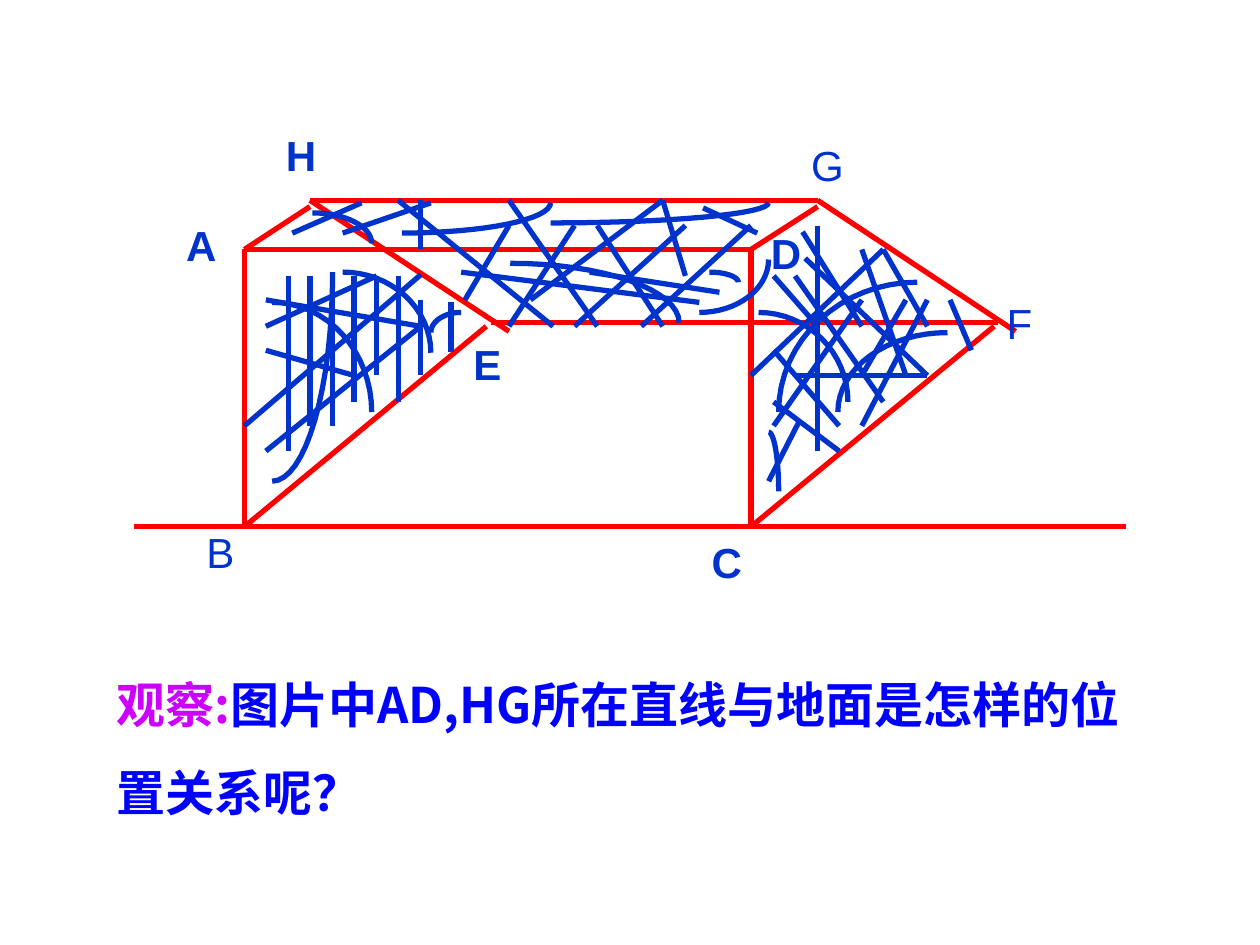
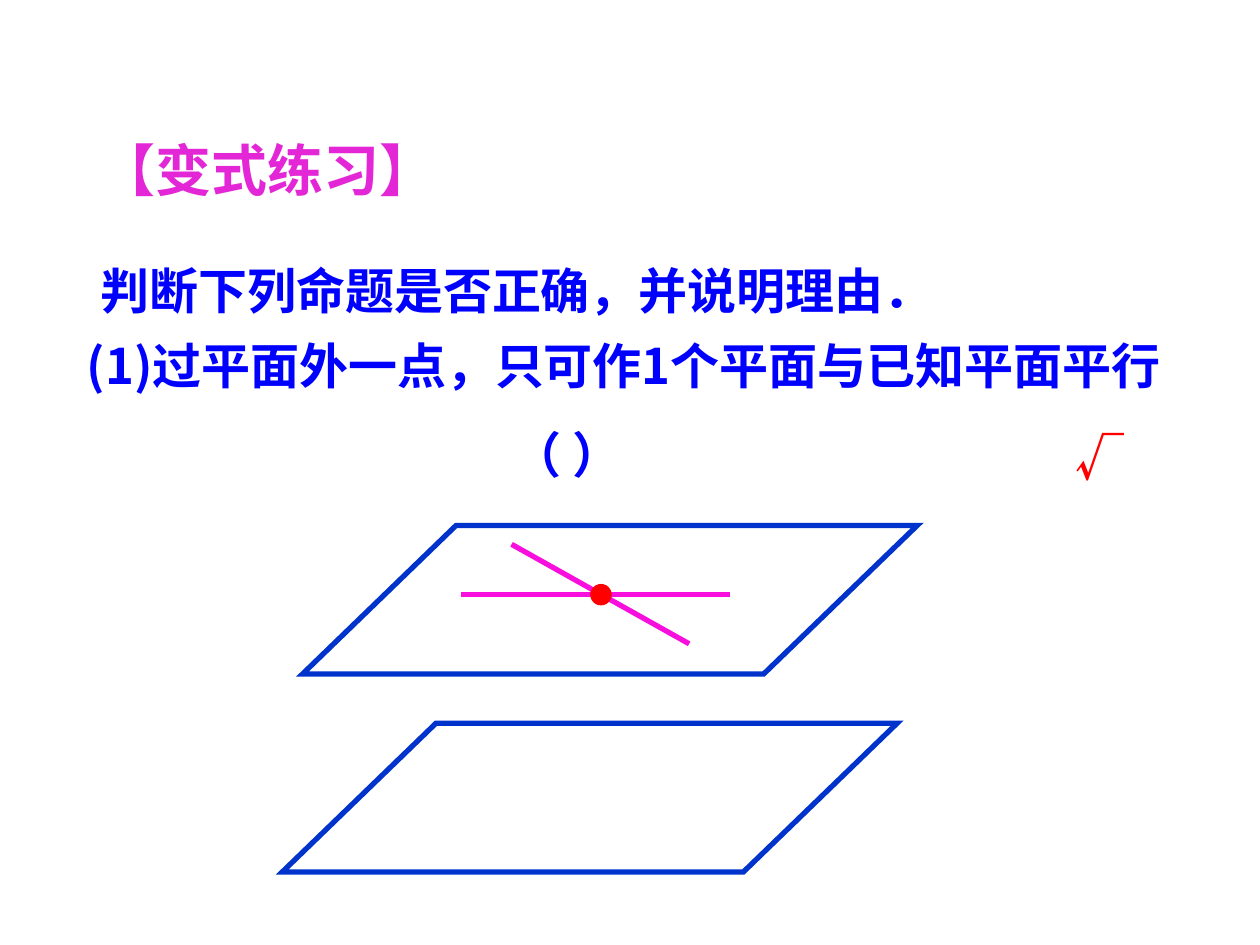
from math import cos, pi, sin

from lxml import etree
from pptx import Presentation
from pptx.dml.color import RGBColor
from pptx.enum.shapes import MSO_CONNECTOR, MSO_SHAPE
from pptx.oxml.ns import qn
from pptx.util import Inches, Pt

STRAIGHT = MSO_CONNECTOR.STRAIGHT
PARALLELOGRAM, OVAL = MSO_SHAPE.PARALLELOGRAM, MSO_SHAPE.OVAL

LATIN, CJK = "Arial", "Noto Sans CJK SC"
RED, INK, BLUE = "FF0000", "0033CC", "0000FF"
VIOLET, PINK, MAGENTA = "CC00FF", "F90FDD", "E327D6"
STROKE = 3
ARC_STEPS = 16

FRAME = [
    (1.94, 1.98, 5.96, 1.98), (5.96, 1.98, 5.96, 4.18), (1.94, 1.98, 1.94, 4.18),
    (5.96, 1.98, 6.49, 1.64), (1.94, 1.98, 2.46, 1.64), (2.46, 1.59, 4.04, 2.63),
    (6.49, 1.59, 8.06, 2.63), (2.46, 1.59, 6.49, 1.59), (5.96, 4.18, 7.89, 2.59),
    (1.94, 4.18, 3.86, 2.59), (3.9, 2.56, 7.92, 2.56), (1.06, 4.18, 8.94, 4.18),
]
VERTICES = [
    ("B", 1.54, 4.13, False), ("A", 1.38, 1.69, True), ("D", 6.02, 1.76, True),
    ("C", 5.55, 4.21, True), ("H", 2.17, 0.98, True), ("G", 6.34, 1.06, False),
    ("E", 3.66, 2.64, True), ("F", 7.89, 2.31, False),
]
LEFT_HATCHING = [
    (3.16, 2.19, 3.16, 3.19), (2.81, 2.19, 2.81, 3.19), (2.29, 2.19, 2.29, 3.58),
    (2.64, 2.19, 2.64, 3.38), (2.46, 2.19, 2.46, 3.38), (2.99, 2.19, 2.99, 2.98),
    (3.34, 2.38, 3.34, 2.98), (2.11, 2.59, 2.99, 2.19), (1.94, 3.38, 3.34, 2.18),
    (2.11, 3.58, 3.34, 2.59), (2.11, 2.38, 3.34, 2.59), (2.11, 2.78, 2.81, 2.98),
    (3.58, 2.79, 3.58, 2.4),
]
TOP_HATCHING = [
    (3.16, 1.59, 4.39, 2.59), (4.04, 1.59, 4.74, 2.59), (4.74, 1.79, 5.26, 2.59),
    (5.26, 1.59, 5.44, 2.19), (5.58, 1.65, 6.01, 1.85), (3.34, 1.59, 3.34, 1.98),
    (4.04, 1.79, 3.69, 2.38), (4.56, 1.79, 4.04, 2.59), (5.26, 1.59, 4.21, 2.38),
    (5.44, 1.79, 4.56, 2.59), (5.96, 1.79, 5.09, 2.59), (2.32, 1.85, 2.87, 1.61),
    (2.72, 1.85, 3.42, 1.61), (4.68, 2.16, 5.71, 2.32), (3.66, 2.16, 5.55, 2.4),
]
RIGHT_HATCHING = [
    (6.14, 2.19, 6.49, 2.59), (6.37, 1.84, 6.84, 2.59), (7.01, 1.98, 7.36, 2.59),
    (7.54, 2.38, 7.71, 2.78), (6.84, 1.98, 7.19, 2.98), (6.49, 1.79, 6.49, 3.58),
    (6.39, 2.05, 7.36, 2.98), (6.31, 2.19, 7.01, 3.19), (6.14, 2.78, 6.66, 3.38),
    (7.01, 1.98, 5.96, 2.98), (7.19, 2.38, 6.84, 2.98), (6.84, 2.38, 6.14, 3.38),
    (7.36, 2.38, 6.84, 3.38), (6.31, 2.98, 7.36, 2.98), (6.14, 3.19, 6.66, 3.58),
    (6.1, 3.82, 6.34, 3.35),
]
QUARTER_ARCS = [
    (3.66, 2.48, 3.42, 2.64), (6.02, 2.48, 6.73, 3.19), (2.48, 1.69, 2.95, 1.93),
    (5.63, 2.16, 5.86, 2.24), (5.55, 2.48, 6.1, 2.06), (3.19, 1.85, 4.37, 1.61),
    (6.1, 3.43, 6.18, 3.9), (2.16, 2.4, 2.95, 3.27), (2.16, 3.82, 2.64, 2.16),
    (4.37, 1.77, 6.1, 1.61), (2.72, 2.16, 3.42, 2.8), (7.28, 2.24, 6.18, 3.27),
    (7.52, 2.64, 6.65, 3.27), (4.05, 2.09, 5.39, 2.56),
]
QUESTION = [("观察:", VIOLET), ("图片中AD,HG所在直线与地面是怎样的位置关系呢？", BLUE)]

CROSSING_LINES = [(3.66, 4.72, 5.79, 4.72), (4.06, 4.32, 5.47, 5.11)]
PLANES = [(2.24, 5.74), (2.4, 4.17)]
PLANE_SIZE = (4.88, 1.18)
DOT = (4.69, 4.64, 0.16, 0.16)
HEADING = "【变式练习】"
TASK = "判断下列命题是否正确，并说明理由．"
PROPOSITION = "(1)过平面外一点，只可作1个平面与已知平面平行"
ANSWER_GAP = "（ ）"
ANSWER = "√"


def rgb(color):
    return RGBColor.from_string(color)


def add_line(s, ends, color):
    line = s.shapes.add_connector(STRAIGHT, *map(Inches, ends))
    line.line.color.rgb = rgb(color)
    line.line.width = Pt(STROKE)
    etree.SubElement(line._element.spPr, qn("a:effectLst"))


def style_shape(sp, color, width, fill=None):
    sp.shadow.inherit = False
    if fill:
        sp.fill.solid()
        sp.fill.fore_color.rgb = rgb(fill)
    else:
        sp.fill.background()
    sp.line.color.rgb = rgb(color)
    sp.line.width = Pt(width)


def add_quarter_arc(s, x0, y0, x1, y1):
    angles = [i * pi / 2 / ARC_STEPS for i in range(ARC_STEPS + 1)]
    points = [(Inches(x0 + (x1 - x0) * sin(a)), Inches(y1 + (y0 - y1) * cos(a)))
              for a in angles]
    builder = s.shapes.build_freeform(*points[0])
    builder.add_line_segments(points[1:], close=False)
    style_shape(builder.convert_to_shape(), INK, STROKE)


def add_plane(s, x, y):
    w, h = PLANE_SIZE
    sp = s.shapes.add_shape(PARALLELOGRAM, *map(Inches, (x, y, w, h)))
    sp.adjustments[0] = 1.034
    style_shape(sp, INK, STROKE)
    etree.SubElement(sp.line._get_or_add_ln(), qn("a:miter"), lim="800000")


def add_text_box(s, box, wrap=True):
    tf = s.shapes.add_textbox(*map(Inches, box)).text_frame
    tf.word_wrap = wrap
    return tf


def add_run(p, text, size, color, font=CJK, bold=True):
    r = p.add_run()
    r.text = text
    r.font.name, r.font.size, r.font.bold = font, Pt(size), bold
    r.font.color.rgb = rgb(color)
    etree.SubElement(r._r.get_or_add_rPr(), qn("a:ea"), typeface=CJK)


def indent(p, inches):
    pPr = p._p.get_or_add_pPr()
    pPr.set("marL", str(Inches(inches)))
    pPr.set("indent", "0")


def build_table_slide(s):
    for ends in FRAME:
        add_line(s, ends, RED)
    for name, x, y, bold in VERTICES:
        tf = add_text_box(s, (x, y, 0.44, 0.5), wrap=False)
        add_run(tf.paragraphs[0], name, 24, INK, LATIN, bold)
    for ends in LEFT_HATCHING + TOP_HATCHING + RIGHT_HATCHING:
        add_line(s, ends, INK)
    for arc in QUARTER_ARCS:
        add_quarter_arc(s, *arc)
    p = add_text_box(s, (0.83, 5.07, 8.35, 1.5)).paragraphs[0]
    p.line_spacing = 1.5
    for text, color in QUESTION:
        add_run(p, text, 28, color)


def build_exercise_slide(s):
    for ends in CROSSING_LINES:
        add_line(s, ends, PINK)
    tf = add_text_box(s, (0.59, 2.61, 9.4, 1.28))
    add_run(tf.paragraphs[0], PROPOSITION, 28, BLUE)
    p = tf.add_paragraph()
    p.space_before = Pt(17.5)
    indent(p, 3.38)
    add_run(p, ANSWER_GAP, 28, BLUE)
    for x, y in PLANES:
        add_plane(s, x, y)
    dot = s.shapes.add_shape(OVAL, *map(Inches, DOT))
    style_shape(dot, RED, 0.75, RED)
    p = add_text_box(s, (8.33, 3.34, 1.3, 0.57)).paragraphs[0]
    indent(p, 0.11)
    add_run(p, ANSWER, 28, RED)
    p = add_text_box(s, (0.7, 2.02, 7.08, 0.57)).paragraphs[0]
    add_run(p, TASK, 28, BLUE, LATIN)
    p = add_text_box(s, (0.69, 1.03, 3.38, 0.64)).paragraphs[0]
    add_run(p, HEADING, 32, MAGENTA, LATIN)


def main():
    prs = Presentation()
    prs.slide_width, prs.slide_height = Inches(10), Inches(7.5)
    for build in (build_table_slide, build_exercise_slide):
        build(prs.slides.add_slide(prs.slide_layouts[6]))
    prs.save("out.pptx")


if __name__ == "__main__":
    main()
